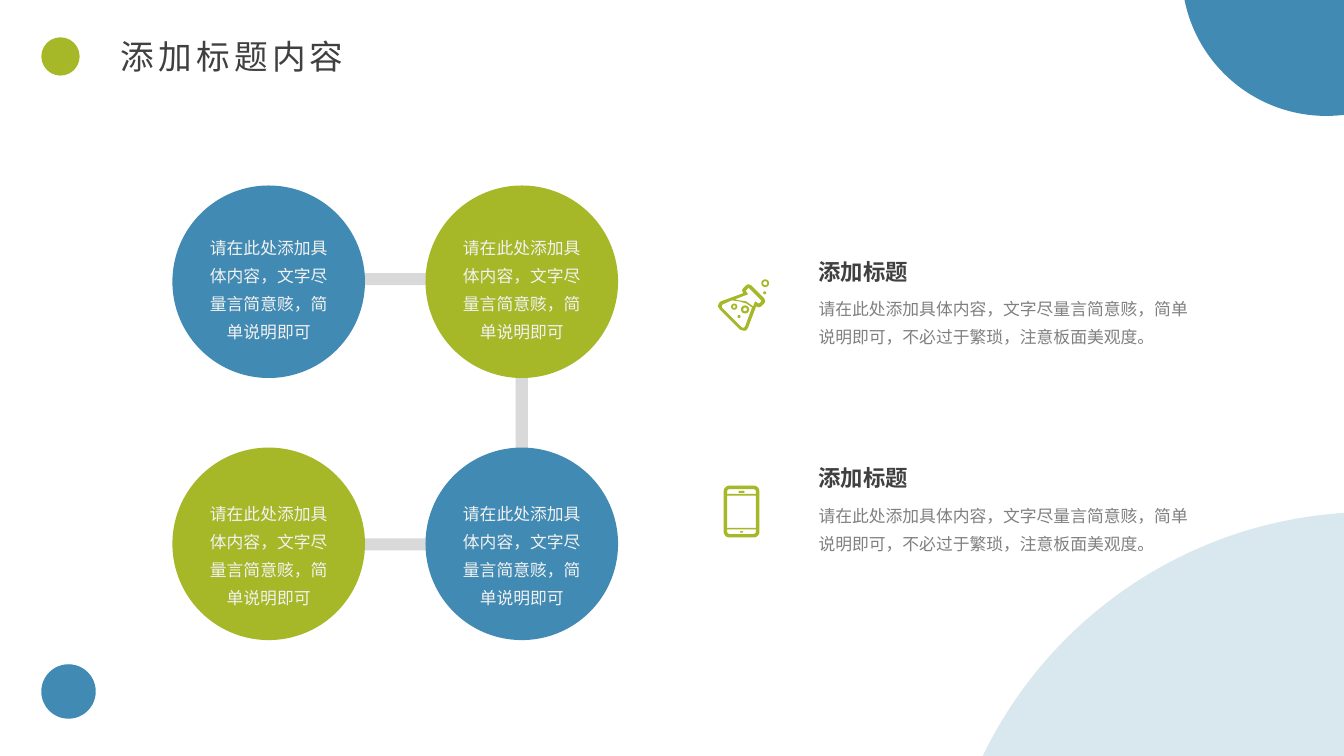
from dataclasses import dataclass
from typing import Optional

from lxml import etree
from pptx import Presentation
from pptx.dml.color import RGBColor
from pptx.enum.shapes import MSO_SHAPE
from pptx.enum.text import MSO_ANCHOR, MSO_AUTO_SIZE, PP_ALIGN
from pptx.oxml.ns import qn
from pptx.util import Inches, Pt

RECTANGLE = MSO_SHAPE.RECTANGLE
ROUNDED = MSO_SHAPE.ROUNDED_RECTANGLE
ELLIPSE = MSO_SHAPE.OVAL
DISC = MSO_SHAPE.FLOWCHART_CONNECTOR
LEFT, CENTER, JUSTIFY = PP_ALIGN.LEFT, PP_ALIGN.CENTER, PP_ALIGN.JUSTIFY

COLOURS = {
    "blue": "418AB3",
    "green": "A6B727",
    "bar": "D9D9D9",
    "light": "F2F2F2",
    "grey": "808080",
    "dark": "404040",
}
CJK_FONT = "Noto Sans CJK SC"
CELL = Inches(0.1)
FINE_CELL = Inches(0.01)

CIRCLE_SIZE = 19.1
CIRCLE_COLUMNS = (17.1, 42.2)
CIRCLE_ROWS = (18.4, 44.4)
CAPTION_ROWS = (22.3, 48.7)
CAPTION_INDENT = 2.1
CIRCLE_TEXT = "请在此处添加具体内容，文字尽量言简意赅，简单说明即可"
ITEM_TITLE = "添加标题"
ITEM_TEXT = "请在此处添加具体内容，文字尽量言简意赅，简单说明即可，不必过于繁琐，注意板面美观度。"
ITEM_ROWS = (25.1, 45.6)
ITEM_COLUMN = 80.2

FLASK_CONTOURS = (
    ((745, 283), (742, 282), (740, 283), (737, 286), (736, 288), (737, 291),
     (715, 299), (713, 301), (712, 304), (714, 307), (734, 327), (737, 328),
     (740, 328), (742, 325), (750, 304), (753, 305), (755, 304), (758, 301),
     (759, 299), (758, 296)),
    ((755, 299), (753, 301), (752, 301), (749, 299), (747, 304), (740, 299),
     (733, 298), (729, 297), (742, 292), (740, 289), (740, 288), (742, 286),
     (743, 286), (755, 298)),
    ((739, 324), (738, 325), (736, 325), (716, 305), (716, 303), (717, 302),
     (726, 298), (733, 299), (740, 301), (746, 305)),
)


@dataclass(frozen=True)
class Area:
    left: float
    top: float
    width: float
    height: float

    def lengths(self) -> tuple[int, ...]:
        return tuple(round(cells * CELL) for cells in
                     (self.left, self.top, self.width, self.height))


@dataclass(frozen=True)
class Figure:
    preset: int
    area: Area
    colour: str
    outline: Optional[float] = None
    opacity: Optional[int] = None
    rounding: Optional[float] = None


@dataclass(frozen=True)
class Style:
    size: int
    colour: str
    font: str = CJK_FONT
    bold: bool = False
    align: int = LEFT
    leading: Optional[int] = None
    spacing: Optional[int] = None


BARS = (
    Figure(RECTANGLE, Area(27.1, 27.1, 21.7, 1.2), "bar"),
    Figure(RECTANGLE, Area(28.2, 53.4, 21.7, 1.2), "bar"),
    Figure(RECTANGLE, Area(51.15, 31.75, 1.2, 21.7), "bar"),
)
BUBBLES = (
    Figure(ELLIPSE, Area(73.6, 30.4, 0.6, 0.6), "green", outline=1.5),
    Figure(ELLIPSE, Area(75.6, 27.8, 0.6, 0.6), "green", outline=1.25),
    Figure(ELLIPSE, Area(72.6, 30.2, 0.45, 0.45), "green", outline=1.25),
    Figure(ELLIPSE, Area(73.15, 31.25, 0.3, 0.3), "green"),
    Figure(ELLIPSE, Area(75.7, 28.9, 0.3, 0.3), "green"),
)
PHONE = (
    Figure(ROUNDED, Area(71.95, 48.35, 3.2, 4.8), "green", outline=2.5, rounding=0.12),
    Figure(RECTANGLE, Area(72, 49, 3.1, 0.18), "green"),
    Figure(RECTANGLE, Area(72, 52.38, 3.1, 0.15), "green"),
    Figure(ROUNDED, Area(73.25, 48.7, 0.6, 0.2), "green", rounding=0.5),
    Figure(ROUNDED, Area(73.4, 52.68, 0.3, 0.16), "green", rounding=0.5),
)
DECORATION = (
    Figure(DISC, Area(93.2, 50.8, 85.7, 85.7), "blue", opacity=20),
    Figure(DISC, Area(117.2, -17.2, 28.7, 28.7), "blue"),
    Figure(DISC, Area(4.1, 65.9, 5.4, 5.4), "blue"),
    Figure(DISC, Area(4.1, 3.7, 3.8, 3.8), "green"),
)
TITLE_STYLE = Style(24, "dark", font="Lato", align=JUSTIFY, spacing=3)
CAPTION_STYLE = Style(12, "light", align=CENTER, leading=20)
ITEM_TITLE_STYLE = Style(16, "dark", bold=True)
ITEM_TEXT_STYLE = Style(12, "grey", leading=20)


def rgb(name: str) -> RGBColor:
    return RGBColor.from_string(COLOURS[name])


def draw_figure(page, figure: Figure) -> None:
    shape = page.shapes.add_shape(figure.preset, *figure.area.lengths())
    shape.shadow.inherit = False
    if figure.rounding is not None:
        shape.adjustments[0] = figure.rounding
    if figure.outline is not None:
        shape.fill.background()
        shape.line.color.rgb = rgb(figure.colour)
        shape.line.width = Pt(figure.outline)
        return
    shape.fill.solid()
    shape.fill.fore_color.rgb = rgb(figure.colour)
    shape.line.fill.background()
    if figure.opacity is not None:
        colour = shape.fill._xPr.find(".//" + qn("a:srgbClr"))
        etree.SubElement(colour, qn("a:alpha")).set("val", str(figure.opacity * 1000))


def draw_flask(page) -> None:
    outer, *holes = FLASK_CONTOURS
    builder = page.shapes.build_freeform(*outer[0], scale=FINE_CELL)
    builder.add_line_segments(outer[1:], close=True)
    for hole in holes:
        builder.move_to(*hole[0])
        builder.add_line_segments(hole[1:], close=True)
    flask = builder.convert_to_shape()
    flask.shadow.inherit = False
    flask.fill.solid()
    flask.fill.fore_color.rgb = rgb("green")
    flask.line.fill.background()


def write_text(box, text: str, style: Style) -> None:
    frame = box.text_frame
    frame.text = text
    frame.word_wrap = True
    frame.auto_size = MSO_AUTO_SIZE.NONE
    frame.vertical_anchor = MSO_ANCHOR.TOP
    para = frame.paragraphs[0]
    para.alignment = style.align
    if style.leading is not None:
        para.line_spacing = Pt(style.leading)
    span = para.runs[0]
    span.font.size = Pt(style.size)
    span.font.bold = style.bold
    span.font.color.rgb = rgb(style.colour)
    span.font.name = style.font
    properties = span.font._element
    etree.SubElement(properties, qn("a:ea")).set("typeface", CJK_FONT)
    if style.spacing is not None:
        properties.set("spc", str(style.spacing * 100))


def add_text(page, area: Area, text: str, style: Style) -> None:
    write_text(page.shapes.add_textbox(*area.lengths()), text, style)


def main() -> None:
    deck = Presentation()
    deck.slide_width, deck.slide_height = Inches(13.33), Inches(7.5)
    page = deck.slides.add_slide(deck.slide_layouts[5])
    title = page.shapes.title
    title.left, title.top, title.width, title.height = Area(11, 3.1, 25.6, 5).lengths()
    write_text(title, "添加标题内容", TITLE_STYLE)

    for bar in BARS:
        draw_figure(page, bar)
    for row, (top, caption_top) in enumerate(zip(CIRCLE_ROWS, CAPTION_ROWS)):
        for column, left in enumerate(CIRCLE_COLUMNS):
            colour = ("blue", "green")[(row + column) % 2]
            draw_figure(page, Figure(ELLIPSE, Area(left, top, CIRCLE_SIZE, CIRCLE_SIZE), colour))
            caption = Area(left + CAPTION_INDENT, caption_top, 14.9, 11.8)
            add_text(page, caption, CIRCLE_TEXT, CAPTION_STYLE)

    draw_flask(page)
    for part in BUBBLES + PHONE:
        draw_figure(page, part)
    for top in ITEM_ROWS:
        add_text(page, Area(ITEM_COLUMN, top + 3.3, 39.7, 6.3), ITEM_TEXT, ITEM_TEXT_STYLE)
        add_text(page, Area(ITEM_COLUMN, top, 11.9, 3.7), ITEM_TITLE, ITEM_TITLE_STYLE)
    for disc in DECORATION:
        draw_figure(page, disc)
    deck.save("out.pptx")


if __name__ == "__main__":
    main()
